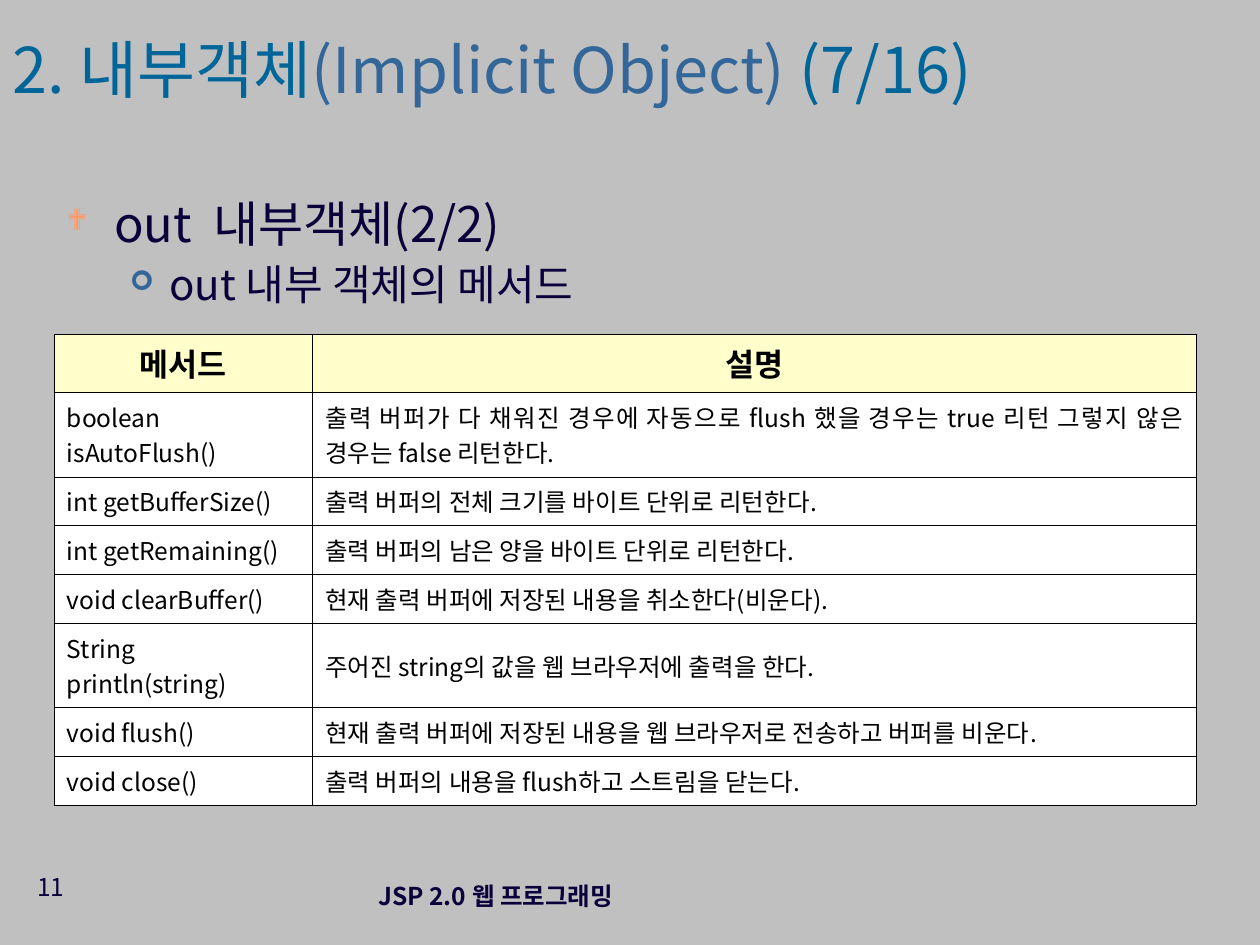
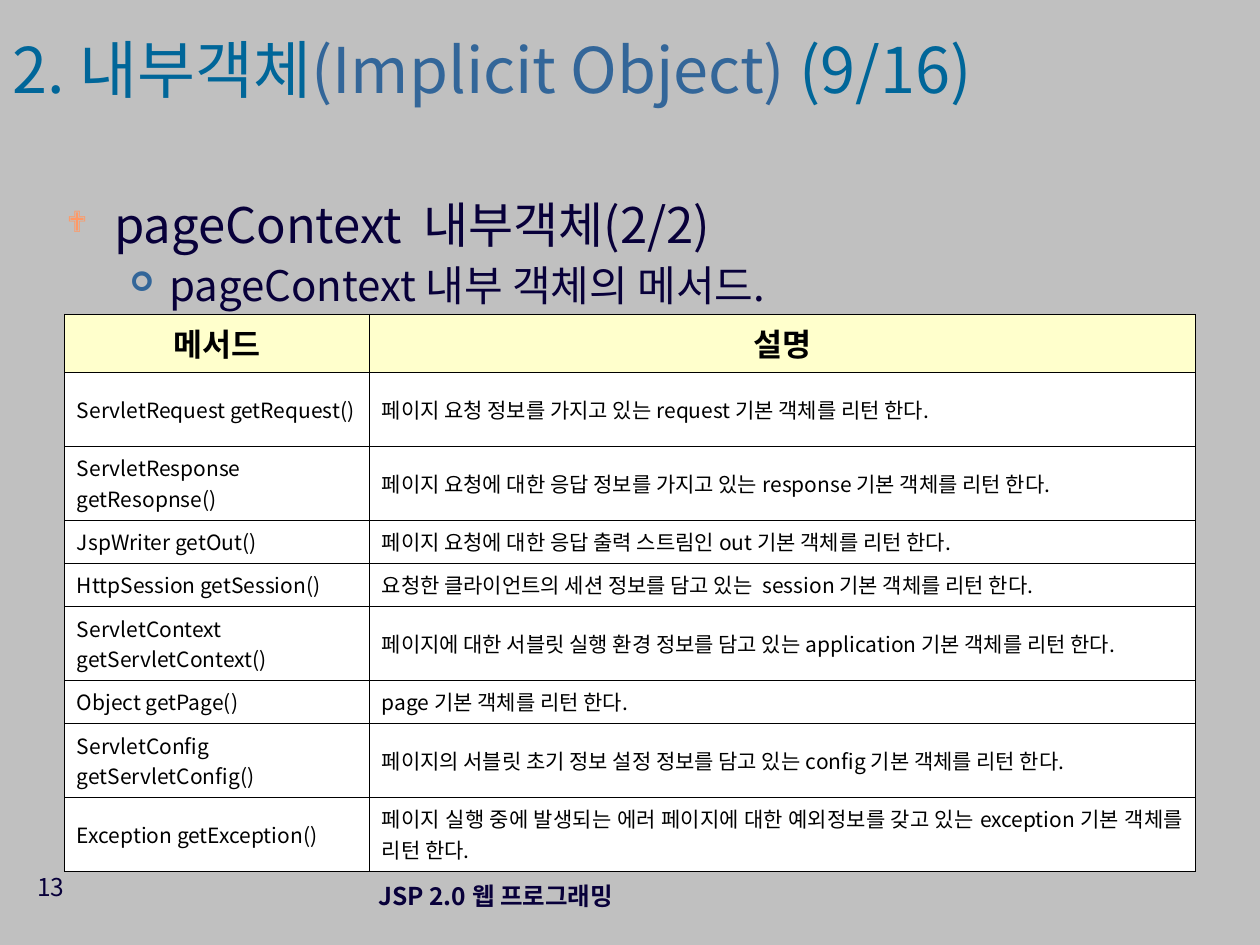
from lxml.etree import SubElement
from pptx import Presentation
from pptx.dml.color import RGBColor
from pptx.enum.text import MSO_ANCHOR, MSO_AUTO_SIZE, PP_ALIGN
from pptx.oxml.ns import qn
from pptx.util import Pt

FONT = "Noto Sans CJK KR"
GREY, CREAM, WHITE, BLACK = "C0C0C0", "FFFFCC", "FFFFFF", "000000"
NAVY, TEAL, BLUE, ORANGE = "08003A", "006699", "336699", "FF9966"

# One entry per slide; each table row is (lines tall, method, description)
pages = [
    {
        "number": "11", "part": "(7/16)",
        "topic": "out  내부객체(2/2)", "subtopic": "out 내부 객체의 메서드",
        "body_top": 110.9, "body_height": 73.4,
        "left": 31, "top": 190.8, "columns": (147.6, 504.6),
        "size": 14, "row_heights": {1: 27.9, 2: 48.3},
        "methods": [
            (2, "boolean isAutoFlush()",
             "출력 버퍼가 다 채워진 경우에 자동으로 flush 했을 경우는 true 리턴 그렇지 않은 경우는 false 리턴한다."),
            (1, "int getBufferSize()", "출력 버퍼의 전체 크기를 바이트 단위로 리턴한다."),
            (1, "int getRemaining()", "출력 버퍼의 남은 양을 바이트 단위로 리턴한다."),
            (1, "void clearBuffer()", "현재 출력 버퍼에 저장된 내용을 취소한다(비운다)."),
            (2, "String println(string)", "주어진 string의 값을 웹 브라우저에 출력을 한다."),
            (1, "void flush()", "현재 출력 버퍼에 저장된 내용을 웹 브라우저로 전송하고 버퍼를 비운다."),
            (1, "void close()", "출력 버퍼의 내용을 flush하고 스트림을 닫는다."),
        ],
    },
    {
        "number": "13", "part": "(9/16)",
        "topic": "pageContext  내부객체(2/2)", "subtopic": "pageContext 내부 객체의 메서드.",
        "body_top": 111.6, "body_height": 79.2,
        "left": 36.8, "top": 179.4, "columns": (174.2, 472.2),
        "size": 12, "row_heights": {1: 24.7, 2: 42.2},
        "methods": [
            (2, "ServletRequest getRequest()", "페이지 요청 정보를 가지고 있는 request 기본 객체를 리턴 한다."),
            (2, "ServletResponse getResopnse()",
             "페이지 요청에 대한 응답 정보를 가지고 있는 response 기본 객체를 리턴 한다."),
            (1, "JspWriter getOut()", "페이지 요청에 대한 응답 출력 스트림인 out 기본 객체를 리턴 한다."),
            (1, "HttpSession getSession()", "요청한 클라이언트의 세션 정보를 담고 있는  session 기본 객체를 리턴 한다."),
            (2, "ServletContext getServletContext()",
             "페이지에 대한 서블릿 실행 환경 정보를 담고 있는 application 기본 객체를 리턴 한다."),
            (1, "Object getPage()", "page 기본 객체를 리턴 한다."),
            (2, "ServletConfig getServletConfig()",
             "페이지의 서블릿 초기 정보 설정 정보를 담고 있는 config 기본 객체를 리턴 한다."),
            (2, "Exception getException()",
             "페이지 실행 중에 발생되는 에러 페이지에 대한 예외정보를 갖고 있는 exception 기본 객체를 리턴 한다."),
        ],
    },
]


def paint(fill, color):
    fill.solid()
    fill.fore_color.rgb = RGBColor.from_string(color)


def add_run(paragraph, text, size, color, bold=False):
    run = paragraph.add_run()
    run.text = text
    run.font.size, run.font.bold, run.font.name = Pt(size), bold, FONT
    paint(run.font.fill, color)
    SubElement(run.font._element, qn("a:ea"), typeface=FONT)


prs = Presentation()
prs.slide_width, prs.slide_height = Pt(720), Pt(540)
paint(prs.slide_master.background.fill, GREY)

for page in pages:
    slide = prs.slides.add_slide(prs.slide_layouts[1])
    title, body = slide.placeholders

    # Title
    title.left, title.top, title.width, title.height = Pt(0), Pt(20.2), Pt(614.9), Pt(48.2)
    title.text_frame.auto_size = MSO_AUTO_SIZE.NONE
    title.text_frame.vertical_anchor = MSO_ANCHOR.MIDDLE
    heading = title.text_frame.paragraphs[0]
    heading.alignment = PP_ALIGN.LEFT
    heading.line_spacing = 0.7
    add_run(heading, "2. 내부객체", 36, TEAL)
    add_run(heading, "(Implicit Object) ", 36, BLUE)
    add_run(heading, page["part"], 36, TEAL)

    # Topic and subtopic
    body.left, body.top = Pt(31), Pt(page["body_top"])
    body.width, body.height = Pt(663.1), Pt(page["body_height"])
    body.text_frame.auto_size = MSO_AUTO_SIZE.NONE
    outline = [
        (page["topic"], 28, 7, 27, 27, "❖", ORANGE, 60),
        (page["subtopic"], 24, 6, 58.5, 22.5, "➢", BLUE, 65),
    ]
    for level, (text, size, before, margin, hang, mark, mark_color, percent) in enumerate(outline):
        item = body.text_frame.add_paragraph() if level else body.text_frame.paragraphs[0]
        item.level = level
        item.line_spacing, item.space_before = 0.9, Pt(before)
        add_run(item, text, size, NAVY)
        props = item._p.get_or_add_pPr()
        props.set("marL", str(Pt(margin)))
        props.set("indent", str(-Pt(hang)))
        SubElement(SubElement(props, qn("a:buClr")), qn("a:srgbClr"), val=mark_color)
        SubElement(props, qn("a:buSzPct"), val=str(percent * 1000))
        SubElement(props, qn("a:buFont"), typeface="Wingdings")
        SubElement(props, qn("a:buChar"), char=mark)

    # Method table
    rows = [(33.1, "메서드", "설명")]
    rows += [(page["row_heights"][lines], *texts) for lines, *texts in page["methods"]]
    methods = slide.shapes.add_table(
        len(rows), 2, Pt(page["left"]), Pt(page["top"]),
        Pt(sum(page["columns"])), Pt(sum(row[0] for row in rows))).table
    methods.first_row = methods.horz_banding = False
    for column, width in zip(methods.columns, page["columns"]):
        column.width = Pt(width)
    for r, (height, *texts) in enumerate(rows):
        methods.rows[r].height = Pt(height)
        header = r == 0
        for c, text in enumerate(texts):
            cell = methods.cell(r, c)
            cell.vertical_anchor = MSO_ANCHOR.MIDDLE
            for side in ("lnL", "lnR", "lnT", "lnB"):
                border = SubElement(cell._tc.get_or_add_tcPr(), qn(f"a:{side}"), w=str(Pt(0.06)))
                SubElement(SubElement(border, qn("a:solidFill")), qn("a:srgbClr"), val=BLACK)
            paint(cell.fill, CREAM if header else WHITE)
            line = cell.text_frame.paragraphs[0]
            line.alignment = PP_ALIGN.CENTER if header else PP_ALIGN.JUSTIFY
            add_run(line, text, 18 if header else page["size"], BLACK, header)

    # Footer and page number
    footers = [
        ("JSP 2.0 웹 프로그래밍", (169.2, 493.9, 228.2, 36), MSO_ANCHOR.MIDDLE, PP_ALIGN.CENTER, True),
        (page["number"], (10.1, 494.6, 33.8, 37.4), MSO_ANCHOR.TOP, PP_ALIGN.RIGHT, False),
    ]
    for text, place, anchor, alignment, bold in footers:
        frame = slide.shapes.add_textbox(*map(Pt, place)).text_frame
        frame.word_wrap = True
        frame.vertical_anchor = anchor
        frame.paragraphs[0].alignment = alignment
        add_run(frame.paragraphs[0], text, 14, NAVY, bold)

prs.save("out.pptx")
